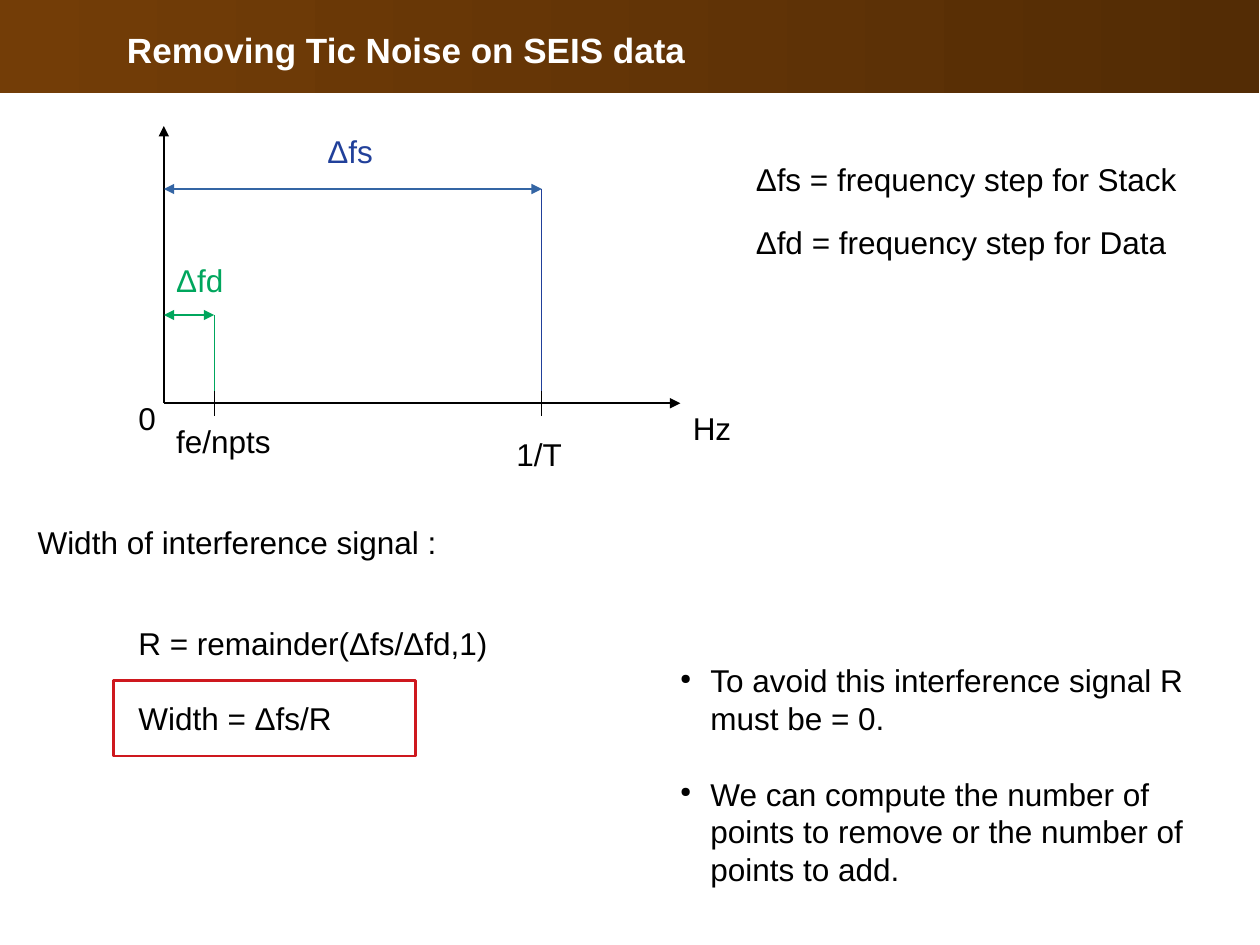
from typing import NamedTuple

from lxml import etree
from pptx import Presentation
from pptx import util as u
from pptx.dml.color import RGBColor
from pptx.enum import shapes
from pptx.oxml.ns import qn

BLACK, BLUE, GREEN = "000000", "21409A", "00A65D"
ORIGIN_X, AXIS_Y = 1.3, 3.2
DATA_X, STACK_X = 1.7, 4.3
DATA_Y, STACK_Y = 2.5, 1.5
TICK = 0.1


class Stroke(NamedTuple):
    start: tuple[float, float]
    end: tuple[float, float]
    color: str = BLACK
    width: float = 0.75
    arrows: tuple[str, ...] = ()


class Label(NamedTuple):
    box: tuple[float, float, float, float]
    paragraphs: tuple[str, ...]
    color: str = BLACK
    size: float = 18
    bold: bool = False
    bulleted: bool = False


def rgb(value: str) -> RGBColor:
    return RGBColor.from_string(value)


def draw_stroke(slide, stroke: Stroke) -> None:
    ends = [u.Inches(v) for v in stroke.start + stroke.end]
    connector = slide.shapes.add_connector(shapes.MSO_CONNECTOR.STRAIGHT, *ends)
    connector.line.color.rgb = rgb(stroke.color)
    connector.line.width = u.Pt(stroke.width)
    outline = connector.line._get_or_add_ln()
    for arrow in stroke.arrows:
        etree.SubElement(outline, qn(f"a:{arrow}"), type="triangle")
    etree.SubElement(connector._element.spPr, qn("a:effectLst"))


def add_bullet(paragraph) -> None:
    properties = paragraph._p.get_or_add_pPr()
    properties.set("marL", str(u.Inches(0.24)))
    properties.set("indent", str(u.Inches(-0.24)))
    color = etree.SubElement(properties, qn("a:buClr"))
    etree.SubElement(color, qn("a:srgbClr"), val=BLACK)
    etree.SubElement(properties, qn("a:buSzPct"), val="45000")
    etree.SubElement(properties, qn("a:buChar"), char="●")


def draw_label(slide, label: Label) -> None:
    frame = slide.shapes.add_textbox(*map(u.Inches, label.box)).text_frame
    frame.word_wrap = True
    frame.text = "\n".join(label.paragraphs)
    for index, paragraph in enumerate(frame.paragraphs):
        font = paragraph.font
        font.name = "Arial"
        font.size = u.Pt(label.size)
        font.bold = label.bold
        font.color.rgb = rgb(label.color)
        if index:
            paragraph.space_before = u.Pt(21.5)
        if label.bulleted:
            add_bullet(paragraph)


def draw_rectangle(slide, left: float, top: float, width: float, height: float):
    rectangle = slide.shapes.add_shape(
        shapes.MSO_SHAPE.RECTANGLE, *map(u.Inches, (left, top, width, height))
    )
    rectangle.shadow.inherit = False
    return rectangle


def draw_banner(slide) -> None:
    banner = draw_rectangle(slide, 0, 0, 9.99, 0.74)
    banner.line.fill.background()
    banner.fill.gradient()
    banner.fill.gradient_angle = 0
    for stop, color, position in zip(
        banner.fill.gradient_stops, ("733D07", "532C05"), (0, 1)
    ):
        stop.color.rgb = rgb(color)
        stop.position = position


def draw_result_frame(slide) -> None:
    frame = draw_rectangle(slide, 0.9, 5.4, 2.4, 0.6)
    frame.fill.background()
    frame.line.color.rgb = rgb("CE181E")
    frame.line.width = u.Pt(1.5)


def tick(x: float) -> Stroke:
    return Stroke((x, AXIS_Y - TICK), (x, AXIS_Y + TICK))


def drop(x: float, y: float, color: str) -> Stroke:
    return Stroke((x, y), (x, AXIS_Y - TICK), color)


def span(x: float, y: float, color: str, width: float) -> Stroke:
    return Stroke((ORIGIN_X, y), (x, y), color, width, ("headEnd", "tailEnd"))


STROKES = (
    Stroke((ORIGIN_X, AXIS_Y), (5.4, AXIS_Y), width=1, arrows=("tailEnd",)),
    Stroke((ORIGIN_X, AXIS_Y), (ORIGIN_X, 1), width=1, arrows=("tailEnd",)),
    tick(STACK_X),
    span(STACK_X, STACK_Y, "3465A4", 1),
    drop(STACK_X, STACK_Y, BLUE),
    tick(DATA_X),
    span(DATA_X, DATA_Y, GREEN, 0.75),
    drop(DATA_X, DATA_Y, GREEN),
)

LABELS = (
    Label((0.91, 0.18, 7.4, 0.41), ("Removing Tic Noise on SEIS data",), "FFFFFF", 20, True),
    Label((5.4, 3.2, 0.6, 0.4), ("Hz",)),
    Label((4, 3.4, 0.6, 0.4), ("1/T",)),
    Label((2.5, 1, 0.6, 0.38), ("Δfs",), BLUE),
    Label((5.9, 1.22, 4, 0.38), ("Δfs = frequency step for Stack",)),
    Label((1.3, 3.3, 1, 0.4), ("fe/npts",)),
    Label((1.3, 2.02, 0.6, 0.38), ("Δfd",), GREEN),
    Label((5.9, 1.72, 4, 0.38), ("Δfd = frequency step for Data",)),
    Label((0.2, 4.1, 8.9, 0.38), ("Width of interference signal :",)),
    Label((1, 4.9, 7.2, 0.94), ("R = remainder(Δfs/Δfd,1)", "Width = Δfs/R")),
    Label(
        (5.3, 5.2, 4.5, 1.78),
        (
            "To avoid this interference signal R must be = 0.",
            "We can compute the number of points to remove or the number of points to add.",
        ),
        bulleted=True,
    ),
    Label((1, 3.12, 0.4, 0.38), ("0",)),
)


def main() -> None:
    deck = Presentation()
    deck.slide_width, deck.slide_height = u.Inches(10), u.Inches(7.5)
    slide = deck.slides.add_slide(deck.slide_layouts[6])
    draw_banner(slide)
    for stroke in STROKES:
        draw_stroke(slide, stroke)
    for label in LABELS:
        draw_label(slide, label)
    draw_result_frame(slide)
    deck.save("out.pptx")


if __name__ == "__main__":
    main()
